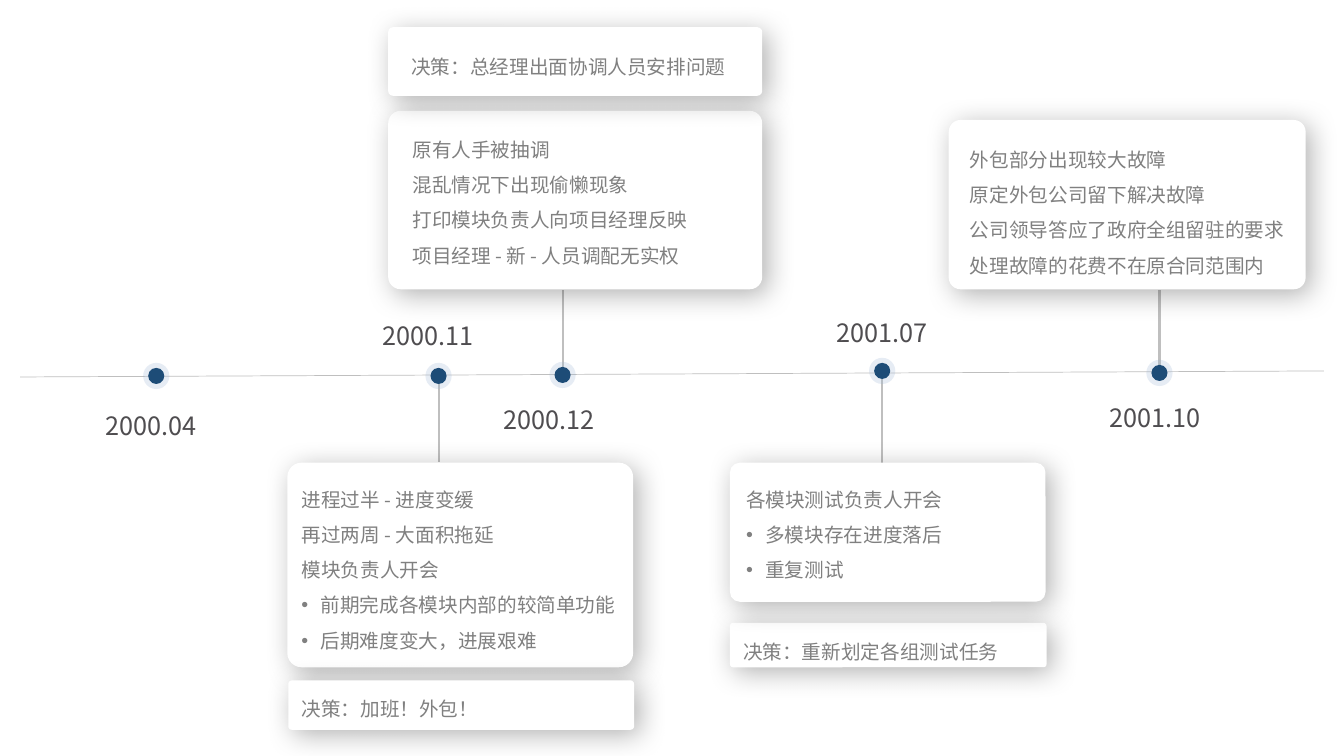
from dataclasses import dataclass
from typing import Any, Optional

from lxml import etree
from pptx import Presentation
from pptx import util as u
from pptx.dml import color
from pptx.enum import shapes, text
from pptx.oxml import ns

PX = 9144
FONT = "Noto Sans CJK SC"
WHITE, NAVY, HALO = "FFFFFF", "1D4C77", "9FB8D6"
GREY, DARK, LINE = "808080", "4F4D50", "BFBFBF"
HALO_SIZE, DOT_SIZE = 26, 16
INDENT = 19


@dataclass
class Event:
    date: str
    x: int
    y: int
    label: tuple[int, int, int]
    stem: Optional[tuple[int, int]] = None


@dataclass
class Card:
    box: tuple[int, int, int, int]
    copy: tuple[int, int, int, int]
    lines: tuple[str, ...]
    bullets: tuple[str, ...] = ()


EVENTS = [
    Event("2000.04", 155, 373, (95, 402, 145)),
    Event("2000.11", 435, 373, (370, 313, 145), (380, 458)),
    Event("2000.12", 558, 372, (490, 396, 204), (288, 366)),
    Event("2001.07", 875, 368, (820, 310, 204), (376, 522)),
    Event("2001.10", 1150, 370, (1091, 394, 204), (288, 366)),
]

CARDS = [
    Card((285, 459, 343, 203), (299, 472, 325, 173),
         ("进程过半 - 进度变缓", "再过两周 - 大面积拖延", "模块负责人开会"),
         ("前期完成各模块内部的较简单功能", "后期难度变大，进展艰难")),
    Card((286, 675, 343, 49), (299, 680, 315, 31), ("决策：加班！外包！",)),
    Card((385, 110, 371, 177), (409, 125, 288, 168),
         ("原有人手被抽调", "混乱情况下出现偷懒现象",
          "打印模块负责人向项目经理反映", "项目经理 - 新 - 人员调配无实权")),
    Card((385, 27, 371, 68), (408, 43, 357, 31),
         ("决策：总经理出面协调人员安排问题",)),
    Card((724, 618, 314, 44), (737, 623, 288, 31),
         ("决策：重新划定各组测试任务",)),
    Card((941, 119, 354, 168), (962, 135, 314, 137),
         ("外包部分出现较大故障", "原定外包公司留下解决故障",
          "公司领导答应了政府全组留驻的要求", "处理故障的花费不在原合同范围内")),
    Card((724, 459, 313, 138), (740, 472, 288, 102),
         ("各模块测试负责人开会",), ("多模块存在进度落后", "重复测试")),
]


def px(*lengths: int) -> list[int]:
    return [length * PX for length in lengths]


def rgb(value: str) -> color.RGBColor:
    return color.RGBColor.from_string(value)


def apply(target: Any, values: dict[str, Any]) -> None:
    for name, value in values.items():
        setattr(target, name, value)


def add_node(parent: Any, tag: str, **attributes: Any) -> Any:
    values = {name: str(value) for name, value in attributes.items()}
    return etree.SubElement(parent, ns.qn(tag), values)


def add_solid(parent: Any, kind: Any, box: tuple[int, ...], fill: str) -> Any:
    shape = parent.add_shape(kind, *px(*box))
    shape.shadow.inherit = False
    shape.fill.solid()
    shape.fill.fore_color.rgb = rgb(fill)
    shape.line.fill.background()
    return shape


def add_line(page: Any, start: tuple[int, int], end: tuple[int, int],
             width: float) -> None:
    line = page.shapes.add_connector(
        shapes.MSO_CONNECTOR.STRAIGHT, *px(*start, *end))
    line.line.color.rgb = rgb(LINE)
    line.line.width = u.Pt(width)
    add_node(line._element.spPr, "a:effectLst")


def add_text(page: Any, box: tuple[int, ...], lines: tuple[str, ...],
             size: int, ink: str, frame_format: dict[str, Any],
             para_format: dict[str, Any]) -> list[Any]:
    frame = page.shapes.add_textbox(*px(*box)).text_frame
    apply(frame, {"word_wrap": True,
                  "auto_size": text.MSO_AUTO_SIZE.SHAPE_TO_FIT_TEXT,
                  **frame_format})
    paras = []
    for index, line in enumerate(lines):
        para = frame.add_paragraph() if index else frame.paragraphs[0]
        apply(para, para_format)
        span = para.add_run()
        span.text = line
        apply(span.font, {"size": u.Pt(size), "name": FONT})
        span.font.color.rgb = rgb(ink)
        add_node(span._r.get_or_add_rPr(), "a:ea", typeface=FONT)
        paras.append(para)
    return paras


def add_card(page: Any, card: Card) -> None:
    box = add_solid(page.shapes, shapes.MSO_SHAPE.ROUNDED_RECTANGLE,
                    card.box, WHITE)
    box.adjustments[0] = 0.07
    effects = box._element.spPr.find(ns.qn("a:effectLst"))
    shadow = add_node(effects, "a:outerShdw", blurRad=u.Pt(20), dist=u.Pt(5),
                      dir=45 * 60000, algn="tl", rotWithShape=0)
    add_node(add_node(shadow, "a:srgbClr", val="000000"), "a:alpha", val=30000)

    margins = dict.fromkeys(
        ("margin_left", "margin_top", "margin_right", "margin_bottom"), 0)
    paras = add_text(page, card.copy, card.lines + card.bullets, 14, GREY,
                     margins, {"line_spacing": 1.5})
    for para in paras[len(card.lines):]:
        properties = para._p.get_or_add_pPr()
        properties.set("marL", str(INDENT * PX))
        properties.set("indent", str(-INDENT * PX))
        add_node(properties, "a:buFont", typeface="Arial")
        add_node(properties, "a:buChar", char="•")


def add_event(page: Any, event: Event) -> None:
    group = page.shapes.add_group_shape()
    halo, _ = [
        add_solid(group.shapes, shapes.MSO_SHAPE.OVAL,
                  (event.x - size // 2, event.y - size // 2, size, size), fill)
        for size, fill in ((HALO_SIZE, HALO), (DOT_SIZE, NAVY))]
    tint = halo._element.spPr.find(
        f"{ns.qn('a:solidFill')}/{ns.qn('a:srgbClr')}")
    add_node(tint, "a:alpha", val=26000)
    add_text(page, (*event.label, 40), (event.date,), 18, DARK, {}, {})


def main() -> None:
    deck = Presentation()
    apply(deck, {"slide_width": 1333 * PX, "slide_height": 750 * PX})
    page = deck.slides.add_slide(deck.slide_layouts[6])
    add_line(page, (20, 374), (1313, 368), 0.5)
    for event in EVENTS:
        if event.stem:
            top, bottom = event.stem
            add_line(page, (event.x, top), (event.x, bottom), 1.5)
    for card in CARDS:
        add_card(page, card)
    for event in EVENTS:
        add_event(page, event)
    deck.save("out.pptx")


if __name__ == "__main__":
    main()
